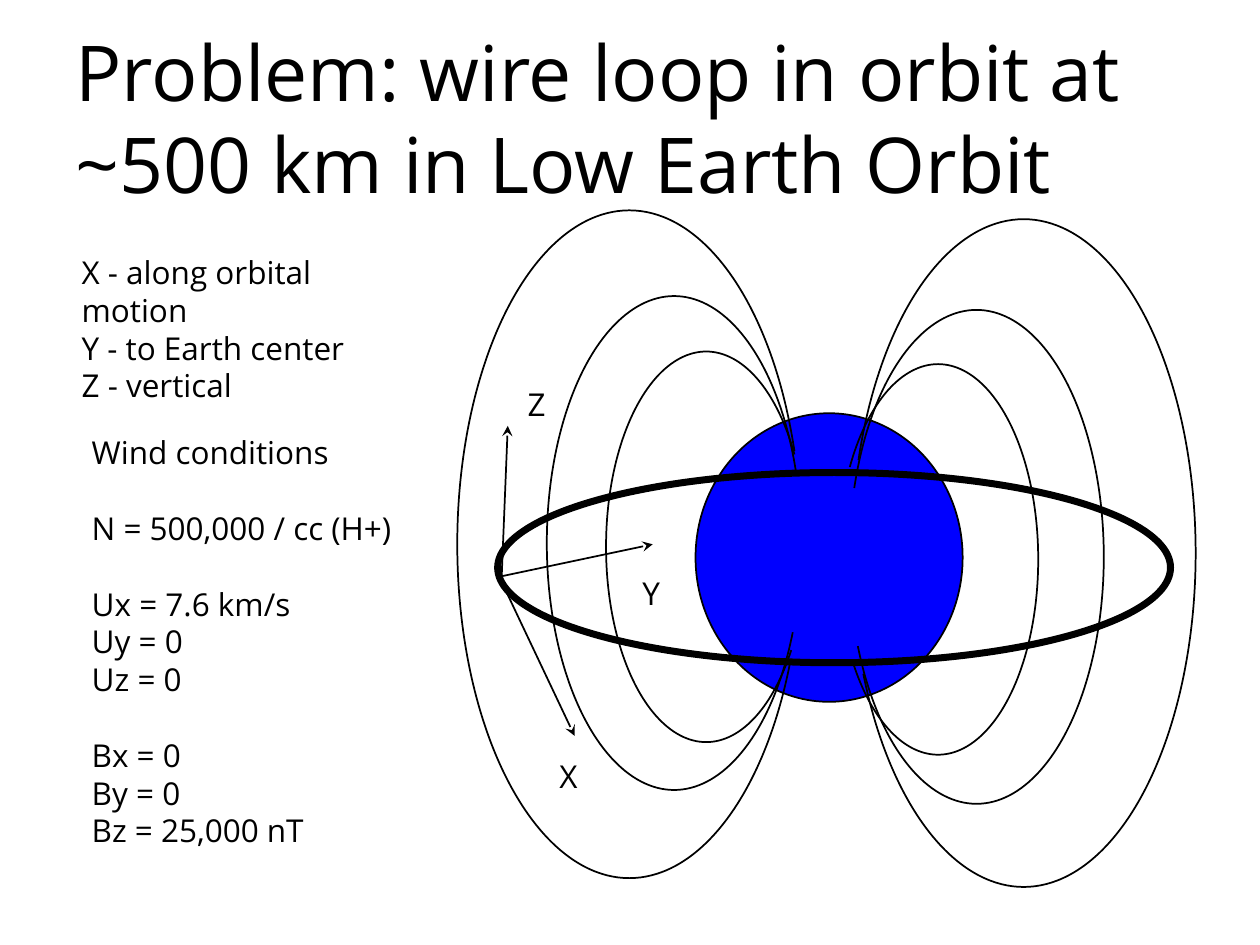
"""Build a slide about a wire loop in low Earth orbit."""
from typing import NamedTuple

import lxml.etree
import pptx
import pptx.dml.color
import pptx.enum.shapes
import pptx.enum.text
import pptx.oxml.ns
import pptx.util

Inches = pptx.util.Inches
Shapes = pptx.enum.shapes.MSO_SHAPE
Anchor = pptx.enum.text.MSO_ANCHOR
BLACK = "000000"
EARTH_BLUE = "0000FF"
FONT = "Open Sans"
BODY_SIZE = 18
GROUP_GAP = 21.6


class Area(NamedTuple):
    """Position and size in inches."""
    left: float
    top: float
    width: float
    height: float


class FieldLine(NamedTuple):
    """Size, angle adjustments and mirrored places of a magnetic field line."""
    width: float
    height: float
    angles: tuple[float, float]
    left_place: tuple[float, float]
    right_place: tuple[float, float]


class Axis(NamedTuple):
    """Arrow of a coordinate axis with its label."""
    name: str
    start: tuple[float, float]
    end: tuple[float, float]
    label: Area


WIDE_ANGLES = (22.172, 198.354)
FIELD_LINES = [
    FieldLine(2.02, 3.92, WIDE_ANGLES, (4.34, 2.35), (6.74, 2.46)),
    FieldLine(1.59, 3.1, (30.323, 188.225), (4.81, 2.79), (6.65, 2.89)),
    FieldLine(2.73, 5.3, WIDE_ANGLES, (3.63, 1.67), (6.76, 1.74)),
]
AXES = [
    Axis("X", (3.93, 4.51), (4.56, 5.84), Area(4.34, 5.96, 0.39, 0.4)),
    Axis("Y", (3.95, 4.58), (5.18, 4.32), Area(5, 4.51, 0.36, 0.4)),
    Axis("Z", (3.98, 4.62), (4.03, 3.38), Area(4.09, 3.01, 0.4, 0.44)),
]
AXIS_NOTES = [["X - along orbital motion", "Y - to Earth center", "Z - vertical"]]
WIND_NOTES = [
    ["Wind conditions"],
    ["N = 500,000 / cc (H+)"],
    ["Ux = 7.6 km/s", "Uy = 0", "Uz = 0"],
    ["Bx = 0", "By = 0", "Bz = 25,000 nT"],
]


def color(code: str) -> pptx.dml.color.RGBColor:
    """Turn a hex string into a colour."""
    return pptx.dml.color.RGBColor.from_string(code)


def add_text(slide, area: Area, groups: list[list[str]], size: float = BODY_SIZE,
             anchor=Anchor.TOP) -> None:
    """Add a text box whose groups of paragraphs are one line apart."""
    frame = slide.shapes.add_textbox(*map(Inches, area)).text_frame
    frame.word_wrap = True
    frame.vertical_anchor = anchor
    text_format = {"name": FONT, "size": pptx.util.Pt(size)}
    para = None
    for group_number, group in enumerate(groups):
        for line_number, text in enumerate(group):
            para = frame.add_paragraph() if para is not None else frame.paragraphs[0]
            if group_number and not line_number:
                para.space_before = pptx.util.Pt(GROUP_GAP)
            span = para.add_run()
            span.text = text
            for name, value in text_format.items():
                setattr(span.font, name, value)
            span.font.color.rgb = color(BLACK)


def add_curve(slide, kind, area: Area, weight: float = 1, fill: str | None = None):
    """Add an outlined ellipse or arc."""
    shape = slide.shapes.add_shape(kind, *map(Inches, area))
    shape.shadow.inherit = False
    if fill:
        shape.fill.solid()
        shape.fill.fore_color.rgb = color(fill)
    else:
        shape.fill.background()
    shape.line.color.rgb = color(BLACK)
    shape.line.width = pptx.util.Pt(weight)
    return shape


def add_field_line(slide, field_line: FieldLine) -> None:
    """Add a field line on both sides of the Earth."""
    for place, mirrored in ((field_line.left_place, False), (field_line.right_place, True)):
        area = Area(*place, field_line.width, field_line.height)
        arc = add_curve(slide, Shapes.ARC, area)
        for number, angle in enumerate(field_line.angles):
            arc.adjustments[number] = angle
        if mirrored:
            arc.element.spPr.xfrm.set("flipH", "1")


def add_axis(slide, axis: Axis) -> None:
    """Add an axis arrow with a stealth head."""
    arrow = slide.shapes.add_connector(
        pptx.enum.shapes.MSO_CONNECTOR.STRAIGHT, *map(Inches, axis.start + axis.end))
    arrow.line.color.rgb = color(BLACK)
    arrow.line.width = pptx.util.Pt(1)
    qualify = pptx.oxml.ns.qn
    properties = arrow.element.spPr
    outline = properties.find(qualify("a:ln"))
    lxml.etree.SubElement(outline, qualify("a:tailEnd"), type="stealth")
    lxml.etree.SubElement(properties, qualify("a:effectLst"))


def main() -> None:
    """Build and save the deck."""
    deck = pptx.Presentation()
    deck.slide_width, deck.slide_height = Inches(10), Inches(7.5)
    page = deck.slides.add_slide(deck.slide_layouts[6])
    add_text(page, Area(0.5, 0.3, 9, 1.25),
             [["Problem: wire loop in orbit at ~500 km in Low Earth Orbit"]], 44, Anchor.MIDDLE)
    add_curve(page, Shapes.OVAL, Area(5.52, 3.28, 2.12, 2.29), fill=EARTH_BLUE)
    add_curve(page, Shapes.OVAL, Area(3.95, 3.75, 5.34, 1.51), weight=4)
    for field_line in FIELD_LINES:
        add_field_line(page, field_line)
    for axis in AXES:
        add_axis(page, axis)
        add_text(page, axis.label, [[axis.name]])
    add_text(page, Area(0.55, 1.96, 2.9, 1), AXIS_NOTES)
    add_text(page, Area(0.63, 3.39, 2.83, 2.73), WIND_NOTES)
    deck.save("out.pptx")


main()
